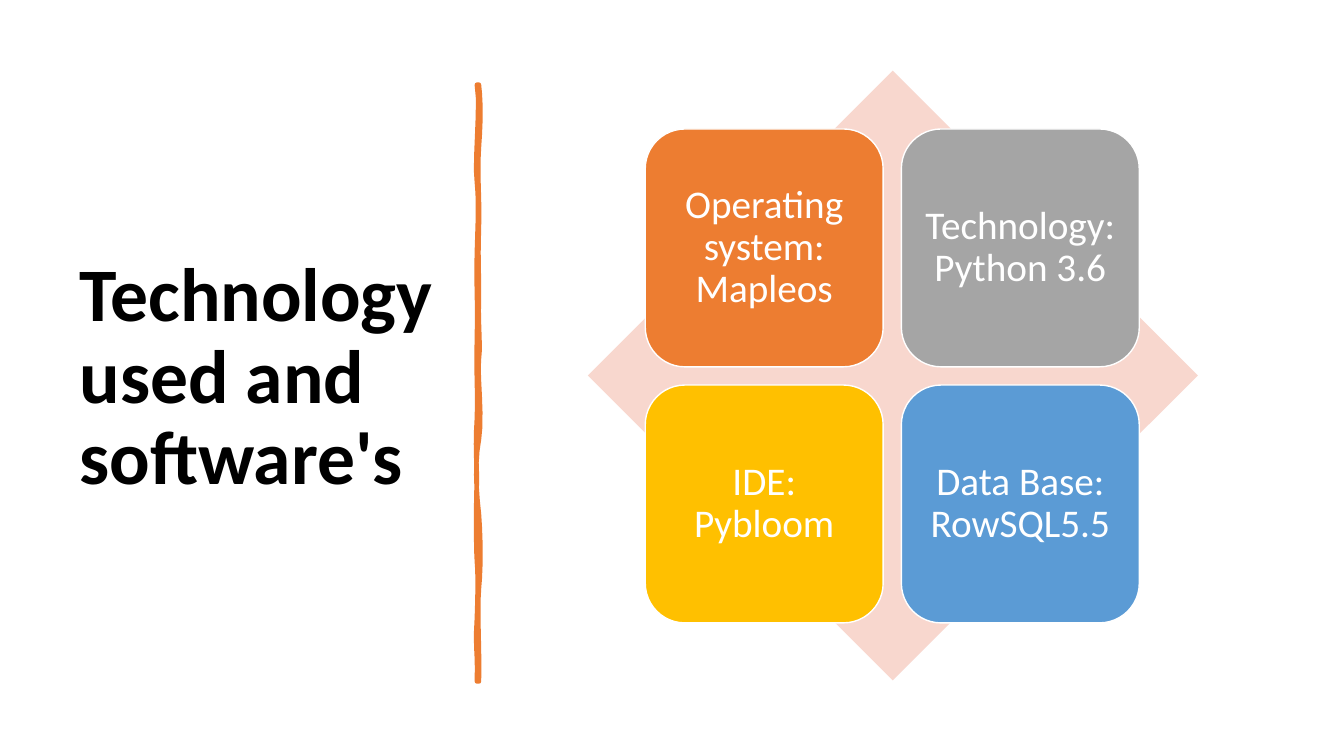
import pptx
import pptx.util
import pptx.dml.color
import pptx.enum.shapes
import pptx.enum.text
from dataclasses import dataclass

Inches = pptx.util.Inches
Pt = pptx.util.Pt
Shape = pptx.enum.shapes.MSO_SHAPE
Align = pptx.enum.text.PP_ALIGN


@dataclass
class Theme:
    font: str = "Calibri"
    ink: str = "000000"
    white: str = "FFFFFF"
    orange: str = "ED7D31"
    gray: str = "A5A5A5"
    gold: str = "FFC000"
    blue: str = "5B9BD5"
    blush: str = "F8D7CE"
    head: int = 54
    body: int = 28


class Deck:
    def __init__(self, theme):
        self.theme = theme
        self.file = pptx.Presentation()
        self.file.slide_width = Inches(13.33)
        self.file.slide_height = Inches(7.5)
        self.slide = self.file.slides.add_slide(self.file.slide_layouts[5])

    def color(self, code):
        return pptx.dml.color.RGBColor.from_string(code)

    def paint(self, shape, fill, line=None, width=1):
        shape.shadow.inherit = False
        shape.fill.solid()
        shape.fill.fore_color.rgb = self.color(fill)
        if line:
            shape.line.color.rgb = self.color(line)
            shape.line.width = Pt(width)
        else:
            shape.line.fill.background()

    def label(self, shape, text, size, color, align, inset, bold=False):
        frame = shape.text_frame
        frame.text = text
        frame.word_wrap = True
        frame.auto_size = pptx.enum.text.MSO_AUTO_SIZE.NONE
        frame.vertical_anchor = pptx.enum.text.MSO_ANCHOR.MIDDLE
        frame.margin_left = frame.margin_right = Inches(inset)
        frame.margin_top = frame.margin_bottom = Inches(inset)
        para = frame.paragraphs[0]
        para.alignment = align
        para.line_spacing = 0.9
        font = para.runs[0].font
        font.name, font.size, font.bold = self.theme.font, Pt(size), bold
        font.color.rgb = self.color(color)

    def title(self, text, left, top, width, height):
        shape = self.slide.shapes.title
        shape.left, shape.top = Inches(left), Inches(top)
        shape.width, shape.height = Inches(width), Inches(height)
        self.label(shape, text, self.theme.head, self.theme.ink,
                   Align.LEFT, 0.1, True)

    def block(self, kind, left, top, size, fill, line=None):
        shape = self.slide.shapes.add_shape(
            kind, Inches(left), Inches(top), Inches(size), Inches(size))
        self.paint(shape, fill, line)
        return shape

    def card(self, text, left, top, size, fill):
        shape = self.block(Shape.ROUNDED_RECTANGLE, left, top, size, fill,
                           self.theme.white)
        self.label(shape, text, self.theme.body, self.theme.white,
                   Align.CENTER, 0.11)

    def stroke(self, start, curves, color, width, steps=6):
        """Draw a closed outline of cubic curves as short segments."""
        points, (x, y) = [], start
        for ax, ay, bx, by, ex, ey in curves:
            for step in range(1, steps + 1):
                t = step / steps
                u = 1 - t
                mix = (u ** 3, 3 * u * u * t, 3 * u * t * t, t ** 3)
                points.append(tuple(
                    Inches(sum(m * v for m, v in zip(mix, axis)))
                    for axis in ((x, ax, bx, ex), (y, ay, by, ey))))
            x, y = ex, ey
        build = self.slide.shapes.build_freeform(
            Inches(start[0]), Inches(start[1]), scale=1.0)
        build.add_line_segments(points, close=True)
        self.paint(build.convert_to_shape(), color, color, width)


# Hand-drawn rule: down the right edge, then up the left edge
START = (4.75, 0.84)
CURVES = [
    (4.77, 1.02, 4.77, 1.19, 4.75, 1.46),
    (4.73, 1.73, 4.76, 1.95, 4.75, 2.26),
    (4.74, 2.57, 4.75, 2.62, 4.75, 2.94),
    (4.74, 3.25, 4.77, 3.42, 4.75, 3.56),
    (4.73, 3.7, 4.79, 4.14, 4.75, 4.36),
    (4.71, 4.57, 4.72, 4.84, 4.75, 5.1),
    (4.77, 5.36, 4.77, 5.64, 4.75, 5.84),
    (4.73, 6.03, 4.76, 6.5, 4.75, 6.76),
    (4.74, 6.76, 4.73, 6.76, 4.73, 6.76),
    (4.74, 6.46, 4.71, 6.44, 4.73, 6.13),
    (4.74, 5.83, 4.74, 5.7, 4.73, 5.57),
    (4.72, 5.44, 4.72, 4.95, 4.73, 4.77),
    (4.73, 4.59, 4.71, 4.45, 4.73, 4.15),
    (4.74, 3.86, 4.72, 3.73, 4.73, 3.35),
    (4.74, 2.98, 4.72, 2.81, 4.73, 2.5),
    (4.74, 2.18, 4.75, 2, 4.73, 1.81),
    (4.7, 1.63, 4.77, 1.04, 4.73, 0.84),
]


def main():
    theme = Theme()
    deck = Deck(theme)

    # Title and rule
    deck.title("Technology used and software's", 0.69, 0.7, 3.74, 6.11)
    deck.stroke(START, CURVES, theme.orange, 3.25)

    # Diamond behind a two by two grid of cards
    deck.block(Shape.DIAMOND, 5.83, 0.7, 6.05, theme.blush)
    cards = [
        ("Operating system: Mapleos", theme.orange),
        ("Technology: Python 3.6", theme.gray),
        ("IDE: Pybloom", theme.gold),
        ("Data Base: RowSQL5.5", theme.blue),
    ]
    left, top, size, pitch = 6.4, 1.28, 2.36, 2.54
    for index, (text, fill) in enumerate(cards):
        row, col = divmod(index, 2)
        deck.card(text, left + col * pitch, top + row * pitch, size, fill)

    deck.file.save("out.pptx")


if __name__ == "__main__":
    main()
